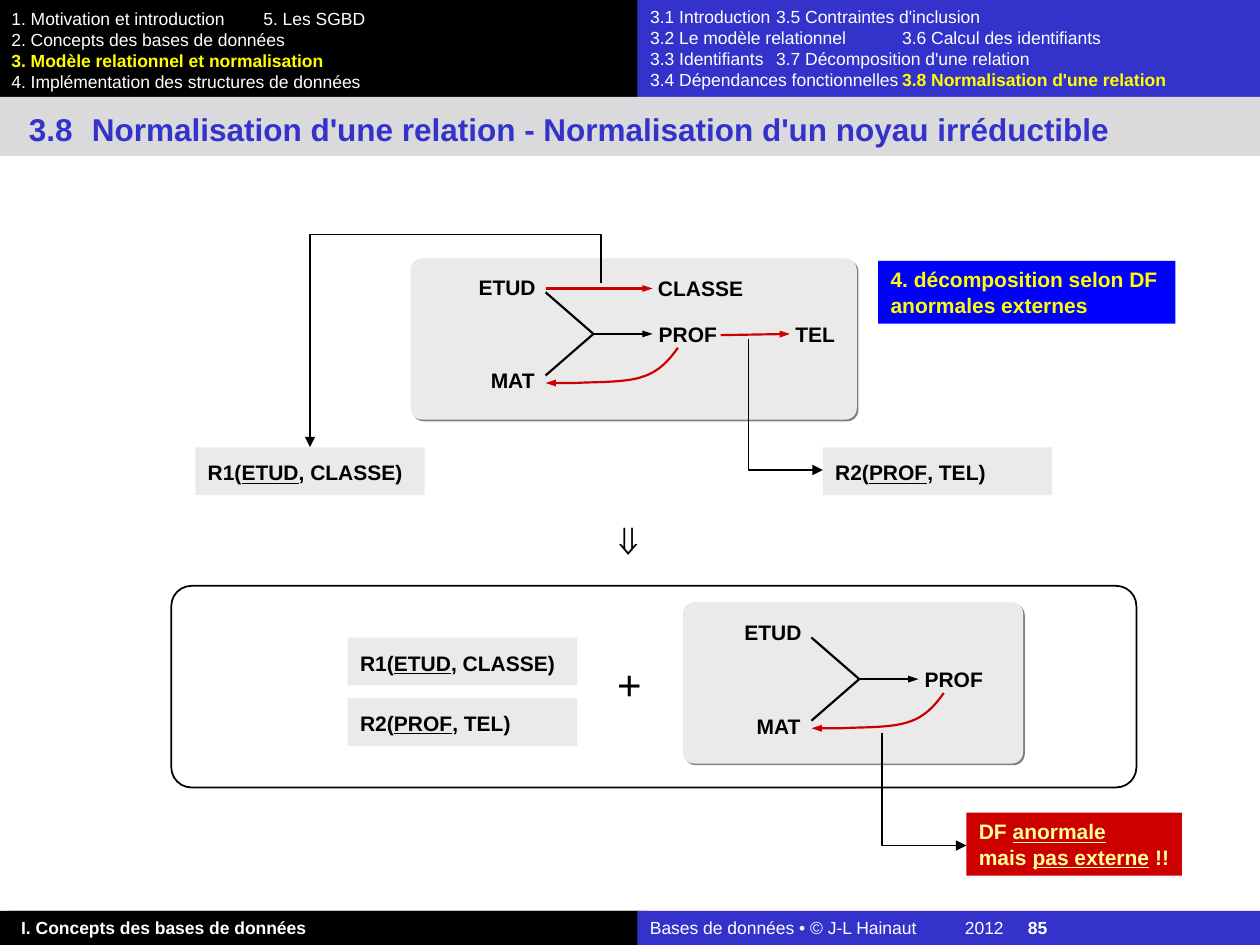
from dataclasses import dataclass
from typing import NamedTuple, Optional

from lxml import etree
from pptx import Presentation
from pptx import util as u
from pptx.dml.color import RGBColor
from pptx.enum import shapes, text
from pptx.oxml import ns

Inches = u.Inches


@dataclass(frozen=True)
class Theme:
    font: str = "Arial"
    black: str = "000000"
    white: str = "FFFFFF"
    blue: str = "3333CC"
    callout_blue: str = "0000FF"
    red: str = "CC0000"
    yellow: str = "FFFF00"
    pale_yellow: str = "FFFF99"
    band: str = "DADADC"
    panel: str = "EAEAEA"
    shadow: str = "808080"
    small: float = 10
    normal: float = 12
    heading: float = 18
    symbol: float = 24
    thin: float = 0.75
    thick: float = 1.25


THEME = Theme()


class Box(NamedTuple):
    left: float
    top: float
    width: float
    height: float

    def lengths(self):
        return [Inches(value) for value in self]


class Run(NamedTuple):
    text: str
    underline: bool = False
    color: Optional[str] = None
    bold: Optional[bool] = None


class Label(NamedTuple):
    text: str
    box: Box


def rgb(color: str) -> RGBColor:
    return RGBColor.from_string(color)


def write(shape, paragraphs, *, size=THEME.normal, color=THEME.black, bold=False,
          align=text.PP_ALIGN.LEFT, anchor=text.MSO_ANCHOR.TOP,
          margins=(0.1, 0.05, 0.1, 0.05), wrap=False, tabs=()):
    """Fill a shape with paragraphs, each a list of strings and Runs; tabs are (inches, l or r)."""
    frame = shape.text_frame
    frame.auto_size = text.MSO_AUTO_SIZE.NONE
    frame.word_wrap = wrap
    frame.vertical_anchor = anchor
    (frame.margin_left, frame.margin_top,
     frame.margin_right, frame.margin_bottom) = map(Inches, margins)
    for index, items in enumerate(paragraphs):
        paragraph = frame.add_paragraph() if index else frame.paragraphs[0]
        properties = paragraph._p.get_or_add_pPr()
        properties.set("marL", "0")
        properties.set("indent", "0")
        etree.SubElement(properties, ns.qn("a:buNone"))
        if tabs:
            tab_list = etree.SubElement(properties, ns.qn("a:tabLst"))
            for position, side in tabs:
                etree.SubElement(tab_list, ns.qn("a:tab"), pos=str(Inches(position)), algn=side)
        paragraph.alignment = align
        paragraph.space_before = u.Pt(0)
        for item in items:
            item = Run(item) if isinstance(item, str) else item
            run = paragraph.add_run()
            run.text = item.text
            run.font.name = THEME.font
            run.font.size = u.Pt(size)
            run.font.bold = bold if item.bold is None else item.bold
            run.font.underline = item.underline
            run.font.color.rgb = rgb(item.color or color)


def add_box(slide, box: Box, fill: Optional[str], kind=shapes.MSO_SHAPE.RECTANGLE):
    shape = slide.shapes.add_shape(kind, *box.lengths())
    shape.shadow.inherit = False
    shape.line.fill.background()
    if fill:
        shape.fill.solid()
        shape.fill.fore_color.rgb = rgb(fill)
    else:
        shape.fill.background()
    return shape


def add_text(slide, box: Box, paragraphs, **style):
    write(slide.shapes.add_textbox(*box.lengths()), paragraphs, **style)


def place(placeholder, box: Box, paragraphs, **style):
    """Move a placeholder in front of the shapes drawn so far and fill it."""
    placeholder.element.getparent().append(placeholder.element)
    placeholder.left, placeholder.top, placeholder.width, placeholder.height = box.lengths()
    write(placeholder, paragraphs, wrap=True, **style)


def style_line(shape, color: str, width: float, arrow: bool, head_width: str):
    shape.line.color.rgb = rgb(color)
    shape.line.width = u.Pt(width)
    if arrow:
        etree.SubElement(shape.line._get_or_add_ln(), ns.qn("a:tailEnd"),
                         type="triangle", w=head_width, len="med")


def add_line(slide, start, end, color=THEME.black, width=THEME.thick, arrow=True,
             kind=shapes.MSO_CONNECTOR.STRAIGHT, head_width="sm"):
    line = slide.shapes.add_connector(kind, *map(Inches, (*start, *end)))
    style_line(line, color, width, arrow, head_width)
    etree.SubElement(line.element.spPr, ns.qn("a:effectLst"))
    return line


def add_bent_arrow(slide, start, end, bend: Optional[float] = None):
    """Leave vertically; turn once, or twice with the first turn at the share bend of the height."""
    (x1, y1), (x2, y2) = start, end
    middle_x, middle_y = (x1 + x2) / 2, (y1 + y2) / 2
    half_width, half_height = abs(y2 - y1) / 2, abs(x2 - x1) / 2
    arrow = add_line(slide, (middle_x - half_width, middle_y - half_height),
                     (middle_x + half_width, middle_y + half_height), width=THEME.thin,
                     kind=shapes.MSO_CONNECTOR.ELBOW, head_width="med")
    properties = arrow.element.spPr
    transform = properties.find(ns.qn("a:xfrm"))
    transform.set("rot", str((90 if x2 < x1 else 270) * 60000))
    if x2 > x1:
        transform.set("flipH", "1")
    geometry = properties.find(ns.qn("a:prstGeom"))
    if bend is None:
        geometry.set("prst", "bentConnector2")
    else:
        guides = geometry.find(ns.qn("a:avLst"))
        etree.SubElement(guides, ns.qn("a:gd"), name="adj1", fmla=f"val {round(bend * 100000)}")


def add_curve(slide, points, color: str):
    """Draw cubic Bezier pieces: a start, then three points for each piece."""
    lengths = [(Inches(x), Inches(y)) for x, y in points]
    builder = slide.shapes.build_freeform(*lengths[0])
    builder.add_line_segments(lengths[1:], close=False)
    curve = builder.convert_to_shape()
    curve.shadow.inherit = False
    curve.fill.background()
    style_line(curve, color, THEME.thick, True, "sm")
    outline = next(curve.element.iter(ns.qn("a:path")))
    segments = outline.findall(ns.qn("a:lnTo"))
    for first in range(0, len(segments), 3):
        piece = etree.SubElement(outline, ns.qn("a:cubicBezTo"))
        for segment in segments[first:first + 3]:
            piece.append(segment[0])
            outline.remove(segment)


def add_panel(slide, box: Box):
    panel = add_box(slide, box, THEME.panel, shapes.MSO_SHAPE.ROUNDED_RECTANGLE)
    panel.adjustments[0] = 0.07
    effects = panel.element.spPr.find(ns.qn("a:effectLst"))
    shadow = etree.SubElement(effects, ns.qn("a:outerShdw"), dist=str(u.Pt(1.4)),
                              dir=str(45 * 60000), algn="ctr", rotWithShape="0")
    etree.SubElement(shadow, ns.qn("a:srgbClr"), val=THEME.shadow)


def add_label(slide, label: Label):
    add_text(slide, label.box, [[label.text]], bold=True, margins=(0, 0, 0, 0),
             align=text.PP_ALIGN.CENTER, anchor=text.MSO_ANCHOR.MIDDLE)


def add_core(slide, dx: float, dy: float):
    """Draw the ETUD, MAT, PROF dependencies from an origin."""
    def at(x, y):
        return x + dx, y + dy

    for name, x, y, width in (("ETUD", 0, 0, 0.45), ("MAT", 0.09, 0.74, 0.36),
                              ("PROF", 1.43, 0.37, 0.46)):
        add_label(slide, Label(name, Box(*at(x, y), width, 0.2)))
    fork = at(0.91, 0.47)
    add_line(slide, at(0.53, 0.14), fork, arrow=False)
    add_line(slide, fork, at(0.53, 0.8), arrow=False)
    add_line(slide, fork, at(1.38, 0.47))
    add_curve(slide, [at(*point) for point in (
        (1.58, 0.58), (1.51, 0.68), (1.43, 0.77), (1.3, 0.81), (1.16, 0.86),
        (0.9, 0.85), (0.77, 0.86), (0.64, 0.86), (0.59, 0.86), (0.53, 0.86))], THEME.red)


def add_relation(slide, left: float, top: float, name: str, key: str, other: str):
    write(add_box(slide, Box(left, top, 1.82, 0.38), THEME.panel),
          [[f"{name}(", Run(key, underline=True), f", {other})"]],
          bold=True, margins=(0.1, 0.1, 0.1, 0.08), wrap=True)


def add_frame(slide):
    """Draw the navigation lists, the title and the footer."""
    small_white = dict(size=THEME.small, color=THEME.white)
    current = dict(color=THEME.yellow, bold=True)
    title, chapters, sections = slide.placeholders
    add_box(slide, Box(0, 0, 5.07, 0.77), THEME.black)
    add_box(slide, Box(0, 7.23, 5.07, 0.27), THEME.black)
    write(add_box(slide, Box(0.07, 7.23, 5.07, 0.27), THEME.black),
          [["I. Concepts des bases de données"]], bold=True, **small_white)
    write(add_box(slide, Box(5.06, 7.23, 4.94, 0.27), THEME.blue),
          [["Bases de données • © J-L Hainaut\t2012\t", Run("85", bold=True)]],
          tabs=((2.19, "l"), (4.69, "r")), wrap=True, **small_white)
    place(chapters, Box(-0.01, 0.01, 5.07, 0.77), [
        ["1. Motivation et introduction\t5. Les SGBD"],
        ["2. Concepts des bases de données"],
        [Run("3. Modèle relationnel et normalisation", **current)],
        ["4. Implémentation des structures de données"]], tabs=((3.09, "l"),), **small_white)
    add_box(slide, Box(5.06, 0, 4.94, 0.77), THEME.blue)
    add_box(slide, Box(0, 0.77, 10, 0.47), THEME.band)
    place(title, Box(0.13, 0.82, 9.33, 0.4),
          [["3.8\tNormalisation d'une relation - Normalisation d'un noyau irréductible"]],
          size=THEME.heading, color=THEME.blue, bold=True, tabs=((0.49, "l"),))
    place(sections, Box(5.06, 0, 4.94, 0.77), [
        ["3.1 Introduction\t3.5 Contraintes d'inclusion"],
        ["3.2 Le modèle relationnel\t3.6 Calcul des identifiants"],
        ["3.3 Identifiants\t3.7 Décomposition d'une relation"],
        ["3.4 Dépendances fonctionnelles\t", Run("3.8 Normalisation d'une relation", **current)],
    ], tabs=((2.08, "l"),), **small_white)


def add_decomposition(slide):
    write(add_box(slide, Box(6.97, 2.07, 2.36, 0.5), THEME.callout_blue),
          [["4. décomposition selon DF"], ["anormales externes"]],
          color=THEME.yellow, bold=True)
    add_panel(slide, Box(3.26, 2.05, 3.54, 1.28))
    add_core(slide, 3.8, 2.18)
    add_label(slide, Label("CLASSE", Box(5.22, 2.19, 0.68, 0.2)))
    add_label(slide, Label("TEL", Box(6.31, 2.55, 0.32, 0.2)))
    add_line(slide, (4.33, 2.29), (5.18, 2.29), THEME.red)
    add_line(slide, (5.72, 2.66), (6.27, 2.65), THEME.red)
    add_relation(slide, 1.55, 3.55, "R1", "ETUD", "CLASSE")
    add_relation(slide, 6.53, 3.55, "R2", "PROF", "TEL")
    add_bent_arrow(slide, (4.77, 2.25), (2.46, 3.55), bend=-0.3)
    add_bent_arrow(slide, (5.94, 2.69), (6.53, 3.73))


def add_result(slide):
    add_text(slide, Box(4.77, 4.03, 0.4, 0.5), [["⇓"]], size=THEME.symbol)
    add_panel(slide, Box(5.42, 4.78, 2.7, 1.28))
    add_core(slide, 5.91, 4.92)
    add_relation(slide, 2.76, 5.06, "R1", "ETUD", "CLASSE")
    add_relation(slide, 2.76, 5.54, "R2", "PROF", "TEL")
    add_text(slide, Box(4.8, 5.18, 0.39, 0.5), [["+"]], size=THEME.symbol)
    outline = add_box(slide, Box(1.36, 4.65, 7.66, 1.6), None,
                      shapes.MSO_SHAPE.ROUNDED_RECTANGLE)
    outline.adjustments[0] = 0.1
    outline.line.color.rgb = rgb(THEME.black)
    outline.line.width = u.Pt(1)
    write(add_box(slide, Box(7.67, 6.45, 1.71, 0.5), THEME.red),
          [["DF ", Run("anormale", underline=True)],
           ["mais ", Run("pas externe", underline=True), " !!"]],
          color=THEME.pale_yellow, bold=True)
    add_bent_arrow(slide, (7, 5.82), (7.67, 6.71))


def main():
    presentation = Presentation()
    presentation.slide_width, presentation.slide_height = Inches(10), Inches(7.5)
    slide = presentation.slides.add_slide(presentation.slide_layouts[3])
    add_frame(slide)
    add_decomposition(slide)
    add_result(slide)
    presentation.save("out.pptx")


if __name__ == "__main__":
    main()
